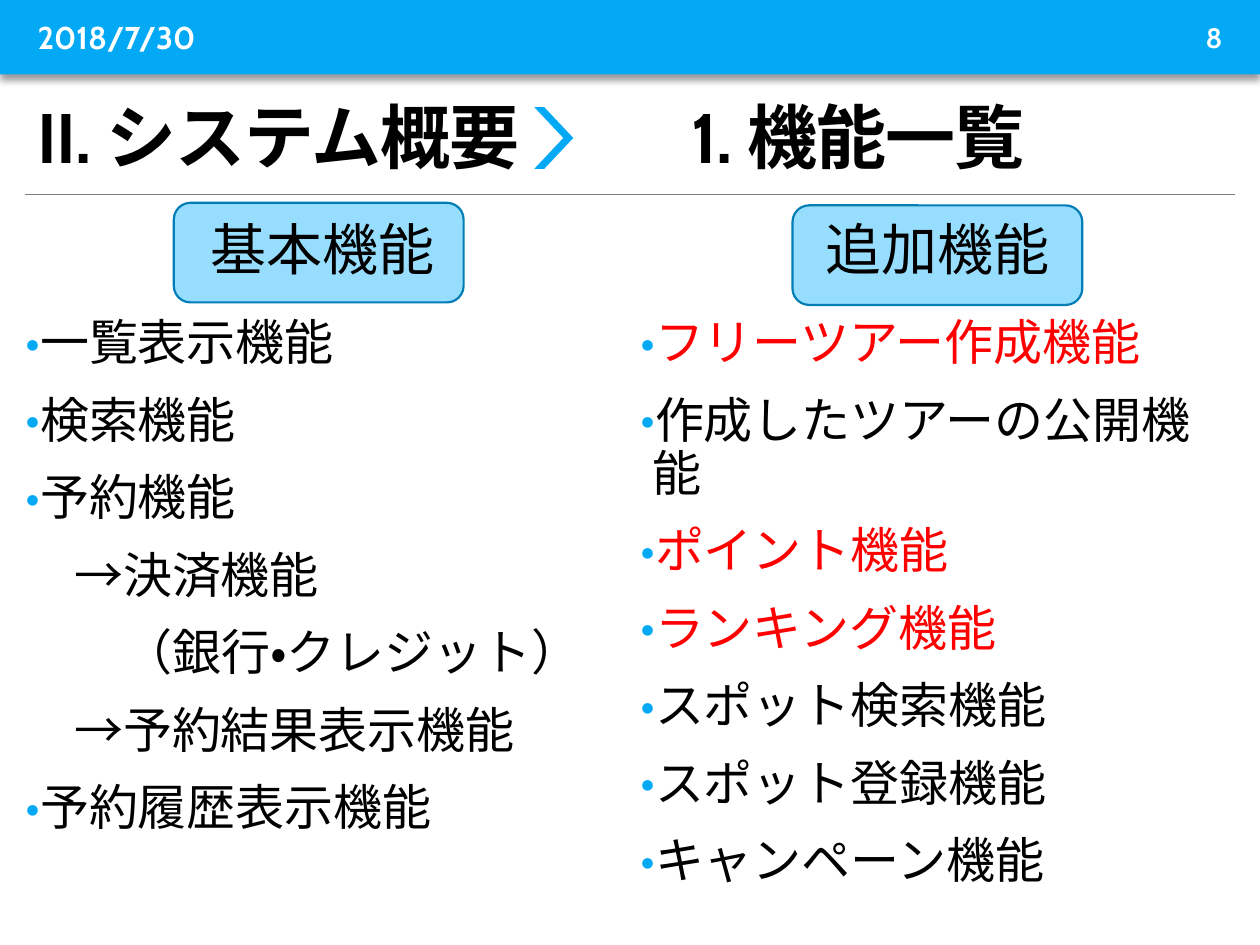
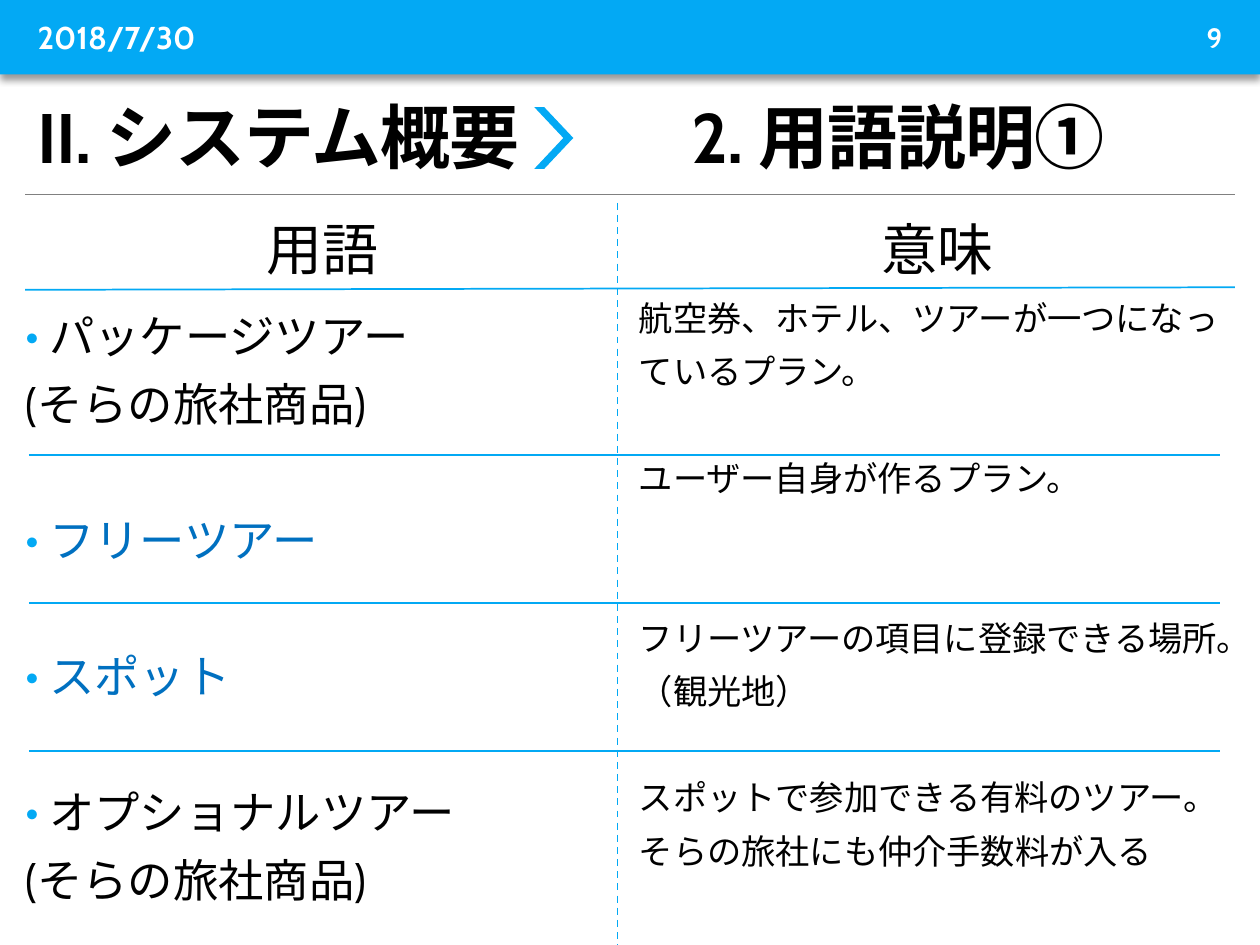
from pptx import Presentation
from pptx.dml.color import RGBColor
from pptx.enum.dml import MSO_LINE as Dash
from pptx.enum.lang import MSO_LANGUAGE_ID as Lang
from pptx.enum.shapes import MSO_CONNECTOR as Conn, MSO_SHAPE as Kind
from pptx.enum.text import MSO_ANCHOR as Anchor, MSO_AUTO_SIZE as Fit, PP_ALIGN as Align
from pptx.oxml.ns import qn
from pptx.util import Inches, Pt
from lxml.etree import SubElement

BLUE = RGBColor(0x03, 0xA9, 0xF4)
PALE = RGBColor(0x97, 0xDE, 0xFE)
EDGE = RGBColor(0x02, 0x7D, 0xB5)
GREY = RGBColor(0x80, 0x80, 0x80)
BLACK = RGBColor(0, 0, 0)
WHITE = RGBColor(255, 255, 255)
RED = RGBColor(255, 0, 0)
NAVY = RGBColor(0x00, 0x70, 0xC0)
FONT = "Cabin"

# Content
DATE = "2018/7/30"
PART = "II. システム概要"
FIRM = "そらの旅社"

# Features: text, colour, indent in characters (None means a bullet)
BASIC = [
    ("一覧表示機能", BLACK, None),
    ("検索機能", BLACK, None),
    ("予約機能", BLACK, None),
    ("→決済機能", BLACK, 1),
    ("（銀行・クレジット）", BLACK, 2),
    ("→予約結果表示機能", BLACK, 1),
    ("予約履歴表示機能", BLACK, None),
]
EXTRA = [
    ("フリーツアー作成機能", RED, None),
    ("作成したツアーの公開機能", BLACK, None),
    ("ポイント機能", RED, None),
    ("ランキング機能", RED, None),
    ("スポット検索機能", BLACK, None),
    ("スポット登録機能", BLACK, None),
    ("キャンペーン機能", BLACK, None),
]
# Terms: text, colour, indent, empty lines' worth of space above
TERMS = [
    (" パッケージツアー", BLACK, None, 0),
    (f"({FIRM}商品)", BLACK, 0, 0),
    (" フリーツアー", NAVY, None, 1),
    (" スポット", NAVY, None, 1),
    (" オプショナルツアー", BLACK, None, 1),
    (f"({FIRM}商品)", BLACK, 0, 0),
]
SENSES = [
    ("航空券、ホテル、ツアーが一つになっ", BLACK, 0, 0),
    ("ているプラン。", BLACK, 0, 0),
    ("ユーザー自身が作るプラン。", BLACK, 0, 1),
    ("フリーツアーの項目に登録できる場所。", BLACK, 0, 2),
    ("（観光地）", BLACK, 0, 0),
    ("スポットで参加できる有料のツアー。", BLACK, 0, 1),
    (f"{FIRM}にも仲介手数料が入る", BLACK, 0, 0),
]

# Grid, in inches
WIDE, HIGH = 10, 7.5
EDGE_X = 0.2
COL = 4.72
LEFT, RIGHT = EDGE_X, WIDE - EDGE_X - COL
HEAD_Y, HEAD_H = 1.61, 0.79
LIST_Y, LIST_H = 2.48, 4.86


def inch(*nums):
    return [Inches(n) for n in nums]


def add_run(para, text, size, color=BLACK, bold=False):
    run = para.add_run()
    run.text = text
    font = run.font
    font.name, font.size, font.bold = FONT, Pt(size), bold
    font.color.rgb = color
    font.language_id = Lang.JAPANESE
    return run


def add_box(slide, x, y, w, h, anchor=Anchor.MIDDLE):
    frame = slide.shapes.add_textbox(*inch(x, y, w, h)).text_frame
    frame.word_wrap = True
    frame.vertical_anchor = anchor
    return frame


def add_shape(slide, kind, x, y, w, h, fill, edge=None):
    shape = slide.shapes.add_shape(kind, *inch(x, y, w, h))
    shape.shadow.inherit = False
    shape.fill.solid()
    shape.fill.fore_color.rgb = fill
    if edge is None:
        shape.line.fill.background()
    else:
        shape.line.color.rgb = edge
        shape.line.width = Pt(1.25)
    return shape


def add_line(slide, x1, y1, x2, y2, color=BLUE, width=1.0, dash=None):
    line = slide.shapes.add_connector(Conn.STRAIGHT, *inch(x1, y1, x2, y2))
    line.line.width = Pt(width)
    if dash:
        line.line.dash_style = dash
    line.line.color.rgb = color
    SubElement(line._element.spPr, qn("a:effectLst"))


def set_gaps(para, lead, before=12):
    para.line_spacing = lead
    para.space_before, para.space_after = Pt(before), Pt(2)


def add_bullet(props):
    props.set("marL", str(Inches(0.1)))
    props.set("indent", str(-Inches(0.1)))
    tint = SubElement(props, qn("a:buClr"))
    SubElement(tint, qn("a:srgbClr"), val=str(BLUE))
    SubElement(props, qn("a:buFont"), typeface=FONT)
    SubElement(props, qn("a:buChar"), char="•")


def add_list(slide, x, y, w, rows, size, lead, step=0):
    """Add a column of paragraphs; step is the height of one empty line in points."""
    frame = add_box(slide, x, y, w, LIST_H, Anchor.TOP)
    frame.margin_left = frame.margin_right = 0
    for i, (text, color, indent, *skip) in enumerate(rows):
        para = frame.paragraphs[0] if i == 0 else frame.add_paragraph()
        set_gaps(para, lead, 12 + step * sum(skip))
        props = para._p.get_or_add_pPr()
        if indent is None:
            add_bullet(props)
        elif indent:
            props.set("marL", str(Pt(indent * size)))
            props.set("indent", "0")
        add_run(para, text, size, color)


def add_head(slide, x, text):
    para = add_box(slide, x, HEAD_Y, COL, HEAD_H).paragraphs[0]
    para.alignment = Align.CENTER
    set_gaps(para, 0.9)
    add_run(para, text, 32)


def add_title(slide, topic):
    title = slide.shapes.title
    title.left, title.top, title.width, title.height = inch(EDGE_X, 0.67, 9.61, 0.79)
    frame = title.text_frame
    frame.auto_size, frame.word_wrap = Fit.NONE, True
    frame.vertical_anchor = Anchor.BOTTOM
    para = frame.paragraphs[0]
    para.alignment, para.line_spacing = Align.LEFT, 0.85
    tabs = SubElement(para._p.get_or_add_pPr(), qn("a:tabLst"))
    SubElement(tabs, qn("a:tab"), pos=str(Inches(5.19)), algn="l")
    for text in (PART, "\t" + topic):
        run = add_run(para, text, 40, bold=True)
        run._r.get_or_add_rPr().set("spc", "-50")


def add_page(deck, topic, number):
    """Start a slide with the band, rule, title, date and page number."""
    slide = deck.slides.add_slide(deck.slide_layouts[5])
    band = add_shape(slide, Kind.RECTANGLE, 0, 0, WIDE, 0.59, BLUE)
    glow = SubElement(band._element.spPr.find(qn("a:effectLst")), qn("a:outerShdw"),
                      blurRad=str(Pt(4)), dist=str(Pt(3)), dir="5400000",
                      algn="ctr", rotWithShape="0")
    tint = SubElement(glow, qn("a:srgbClr"), val=str(BLACK))
    SubElement(tint, qn("a:alpha"), val="40000")
    add_line(slide, EDGE_X, 1.54, WIDE - EDGE_X, 1.54, GREY, 0.5)
    add_title(slide, topic)
    for x, w, text, size, align in (
        (EDGE_X, 1.77, DATE, 18, Align.LEFT),
        (8.07, 1.73, str(number), 16, Align.RIGHT),
    ):
        para = add_box(slide, x, 0.1, w, 0.39).paragraphs[0]
        para.alignment = align
        add_run(para, text, size, WHITE, True)
    mark = add_shape(slide, Kind.CHEVRON, 4.24, 0.85, 0.31, 0.49, BLUE)
    mark.adjustments[0] = 0.745
    return slide


def main():
    deck = Presentation()
    deck.slide_width, deck.slide_height = inch(WIDE, HIGH)

    # Feature list
    slide = add_page(deck, "1. 機能一覧", 8)
    for x, head, rows, box_x, box_y in (
        (LEFT, "基本機能", BASIC, 1.38, 1.61),
        (RIGHT, "追加機能", EXTRA, 6.29, 1.63),
    ):
        add_shape(slide, Kind.ROUNDED_RECTANGLE, box_x, box_y, 2.3, HEAD_H, PALE, EDGE)
        add_head(slide, x, head)
        add_list(slide, x, LIST_Y, COL, rows, 28, 0.9)

    # Terms and meanings
    slide = add_page(deck, "2. 用語説明①", 9)
    add_head(slide, LEFT, "用語")
    add_head(slide, RIGHT, "意味")
    add_list(slide, LEFT, LIST_Y, 4.52, TERMS, 25.9, 0.8, 38.8)
    add_list(slide, 5.07, 2.4, COL, SENSES, 19.6, 0.7, 30.4)

    # Rules between the terms
    add_line(slide, EDGE_X, 2.3, WIDE - EDGE_X, 2.28)
    for row in range(3):
        y = 3.61 + row * 1.175
        add_line(slide, 0.23, y, 9.68, y)
    add_line(slide, 4.9, HEAD_Y, 4.9, HIGH, dash=Dash.DASH)

    deck.save("out.pptx")


if __name__ == "__main__":
    main()
